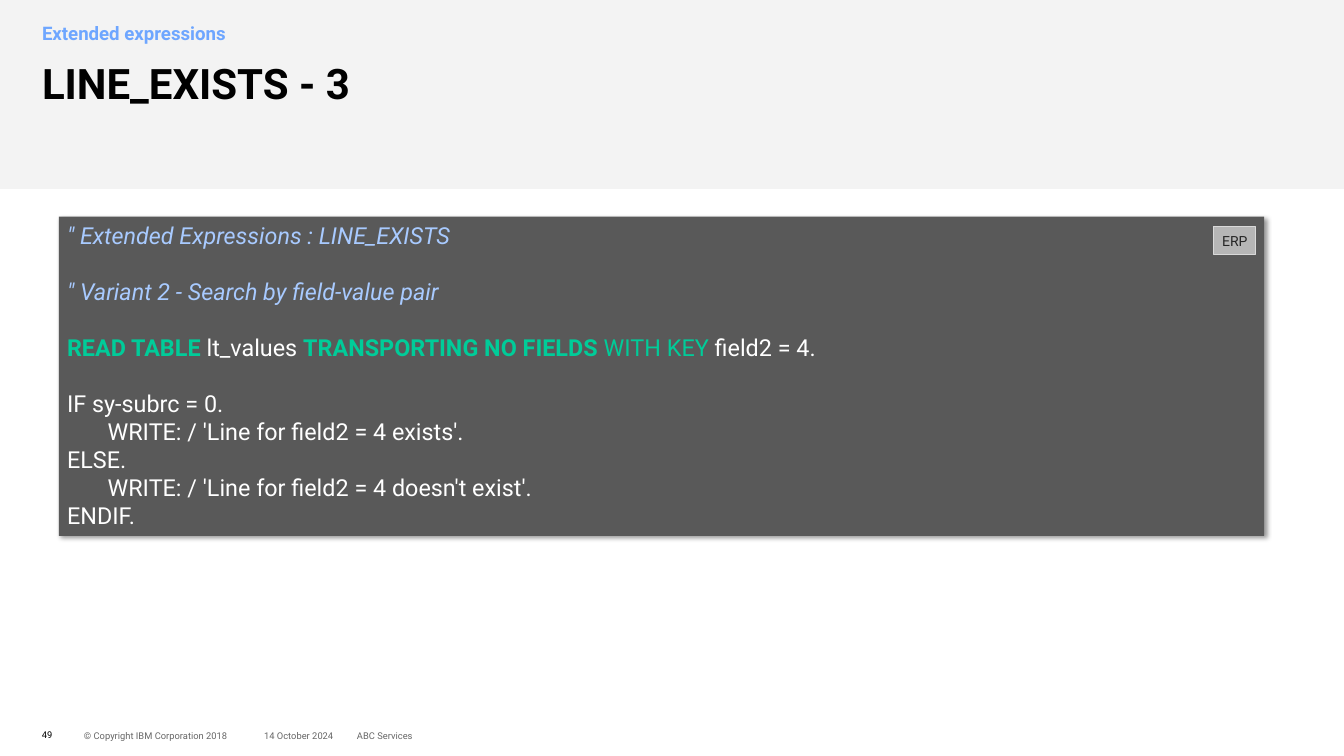
from lxml.etree import SubElement
from pptx import Presentation
from pptx.dml.color import RGBColor
from pptx.enum.shapes import MSO_SHAPE
from pptx.enum.text import MSO_ANCHOR, MSO_AUTO_SIZE, PP_ALIGN
from pptx.oxml import parse_xml
from pptx.oxml.ns import nsdecls, qn
from pptx.util import Inches, Pt

FONT = "Roboto"
BLUE, GREEN, WHITE, GREY = "A8CAFF", "00CC99", "FFFFFF", "666666"

CODE = [
    (0, [('" Extended Expressions : LINE_EXISTS', BLUE, False, True)]),
    (24, [('" Variant 2 - Search by field-value pair', BLUE, False, True)]),
    (24, [("READ TABLE ", GREEN, True, False),
          ("lt_values ", WHITE, False, False),
          ("TRANSPORTING NO FIELDS ", GREEN, True, False),
          ("WITH KEY ", GREEN, False, False),
          ("field2 = 4.", WHITE, False, False)]),
    (24, [("IF sy-subrc = 0.", WHITE, False, False)]),
    (0, [("       WRITE: / 'Line for field2 = 4 exists'.", WHITE, False, False)]),
    (0, [("ELSE.", WHITE, False, False)]),
    (0, [("       WRITE: / 'Line for field2 = 4 doesn't exist'.", WHITE, False, False)]),
    (0, [("ENDIF.", WHITE, False, False)]),
]

FOOT = [
    (0.5, 8.63, 0.36, "49", "000000", PP_ALIGN.LEFT),
    (1, 8.64, 2.5, "© Copyright IBM Corporation 2018", GREY, PP_ALIGN.LEFT),
    (2.47, 8.64, 1.5, "14 October 2024", GREY, PP_ALIGN.RIGHT),
    (4.25, 8.64, 2.5, "ABC Services", GREY, PP_ALIGN.LEFT),
]


def paint(text):
    return RGBColor.from_string(text)


def style(run, size, color, bold=False, slant=False):
    font = run.font
    font.name, font.size = FONT, Pt(size)
    font.bold, font.italic = bold, slant
    font.color.rgb = paint(color)


def place(shape, left, top, width, height):
    shape.left, shape.top = Inches(left), Inches(top)
    shape.width, shape.height = Inches(width), Inches(height)


def write(shape, text, size, color, bold=False, align=PP_ALIGN.LEFT,
          anchor=MSO_ANCHOR.TOP):
    frame = shape.text_frame
    frame.text = text
    frame.word_wrap = True
    frame.auto_size = MSO_AUTO_SIZE.NONE
    frame.vertical_anchor = anchor
    frame.margin_left = frame.margin_right = 0
    frame.margin_top = frame.margin_bottom = 0
    para = frame.paragraphs[0]
    para.alignment = align
    style(para.runs[0], size, color, bold)
    return para


def head(holder, box, text, size, color):
    place(holder, *box)
    para = write(holder, text, size, color, True)
    props = para._p.get_or_add_pPr()
    props.set("marL", "0")
    props.set("indent", "0")
    SubElement(props, qn("a:buNone"))
    para.line_spacing = 0.9
    para.space_before = Pt(0)


def block(slide, box, fill, line=None):
    shape = slide.shapes.add_shape(MSO_SHAPE.RECTANGLE, *map(Inches, box))
    shape.shadow.inherit = False
    shape.fill.solid()
    shape.fill.fore_color.rgb = paint(fill)
    if line:
        shape.line.color.rgb = paint(line)
        shape.line.width = Pt(0.75)
    else:
        shape.line.fill.background()
    return shape


def shade(shape):
    effect = shape._element.spPr.find(qn("a:effectLst"))
    effect.append(parse_xml(
        f'<a:outerShdw {nsdecls("a")} blurRad="{Pt(4)}" dist="{Pt(3)}" '
        'dir="2700000" algn="tl" rotWithShape="0"><a:srgbClr val="000000">'
        '<a:alpha val="40000"/></a:srgbClr></a:outerShdw>'))


def listing(slide):
    panel = block(slide, (0.7, 2.58, 14.35, 3.8), "595959")
    shade(panel)
    frame = panel.text_frame
    frame.word_wrap = True
    frame.vertical_anchor = MSO_ANCHOR.TOP
    for row, (gap, parts) in enumerate(CODE):
        para = frame.add_paragraph() if row else frame.paragraphs[0]
        para.alignment = PP_ALIGN.LEFT
        para.space_before = Pt(gap)
        for text, color, bold, slant in parts:
            run = para.add_run()
            run.text = text
            style(run, 20, color, bold, slant)


def badge(slide):
    tag = block(slide, (14.45, 2.7, 0.5, 0.33), "B6B6B6", "D9D9D9")
    write(tag, "ERP", 12, "262626", False, PP_ALIGN.CENTER, MSO_ANCHOR.MIDDLE)


def footer(slide):
    for left, top, width, text, color, align in FOOT:
        box = slide.shapes.add_textbox(
            Inches(left), Inches(top), Inches(width), Inches(0.24))
        write(box, text, 8, color, False, align, MSO_ANCHOR.MIDDLE)


def main():
    deck = Presentation()
    deck.slide_width, deck.slide_height = Inches(16), Inches(9)
    slide = deck.slides.add_slide(deck.slide_layouts[1])
    band = block(slide, (0, 0, 16, 2.25), "F3F3F3")
    slide.shapes._spTree.insert(2, band._element)
    head(slide.shapes.title, (0.5, 0.75, 15, 0.88),
         "LINE_EXISTS - 3", 36, "000000")
    head(slide.placeholders[1], (0.5, 0.29, 3.25, 0.46),
         "Extended expressions", 16, "6EA6FF")
    listing(slide)
    badge(slide)
    footer(slide)
    deck.save("out.pptx")


if __name__ == "__main__":
    main()
